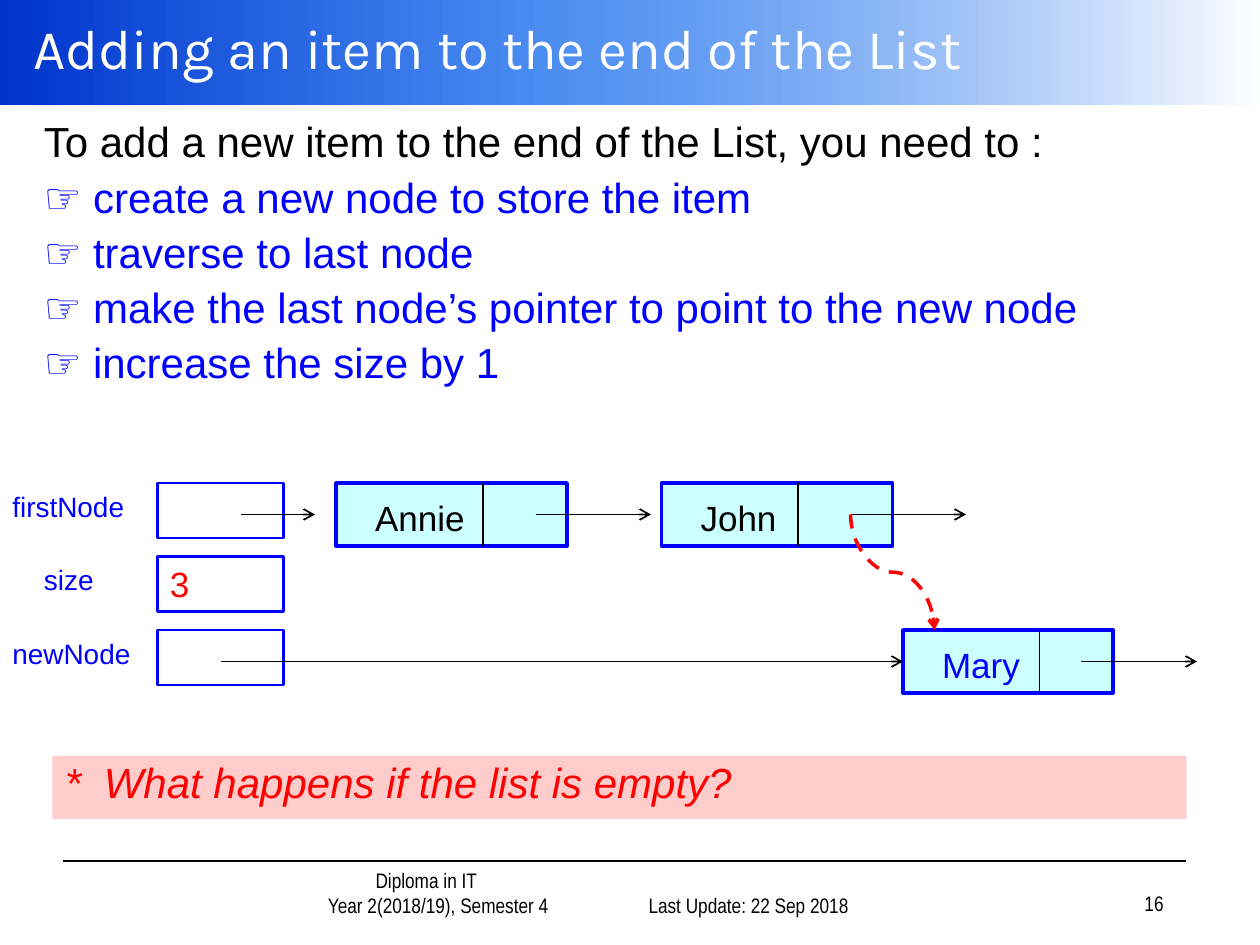
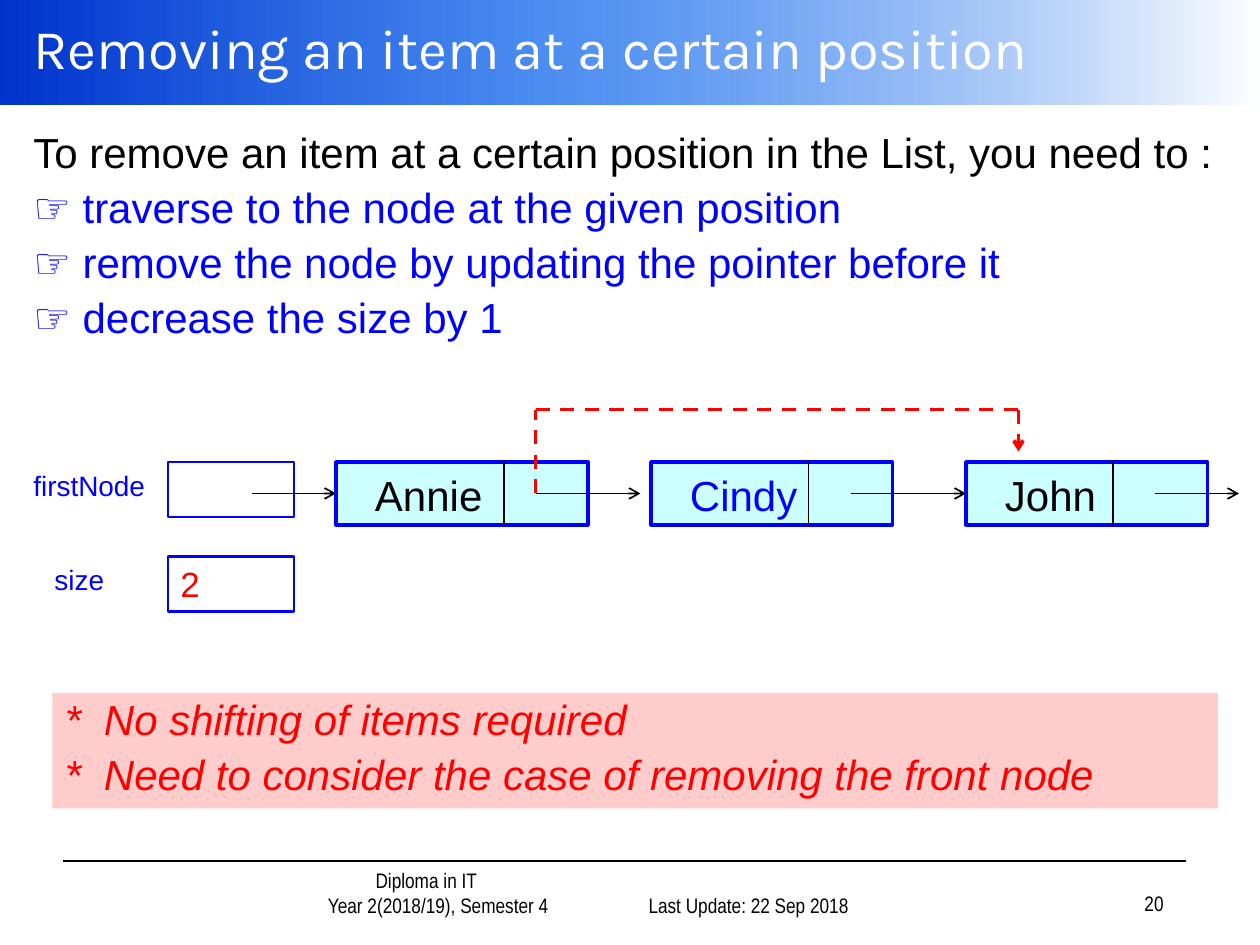
"""Builds two slides on adding to and removing from a linked list, on a 120 by 90 grid."""
from dataclasses import dataclass

from pptx import Presentation
from pptx.dml.color import RGBColor
from pptx.enum.dml import MSO_LINE
from pptx.enum.shapes import MSO_CONNECTOR, MSO_SHAPE
from pptx.enum.text import MSO_ANCHOR, PP_ALIGN
from pptx.oxml import parse_xml
from pptx.oxml.ns import nsdecls
from pptx.oxml.xmlchemy import OxmlElement
from pptx.util import Inches, Pt


@dataclass(frozen=True)
class Theme:
    ink: str = "000000"
    blue: str = "0000FF"
    red: str = "FF0000"
    white: str = "FFFFFF"
    aqua: str = "CCFFFF"
    pink: str = "FFCCCC"
    band: tuple = ((0, "0033CC", 100), (43, "005EEB", 70), (100, "FFFFFF", 100))
    head: int = 32
    body: int = 24
    cell: int = 20
    label: int = 16
    foot: int = 12
    font: str = "Arial"
    title: str = "Karla"
    small: str = "Arial Narrow"


look = Theme()
deck = Presentation()
deck.slide_width, deck.slide_height = Inches(10), Inches(7.5)
unit = deck.slide_width / 120


def box(page, place, text="", size=look.body, color=look.ink, font=look.font,
        fill=None, edge=None, weight=1.5, anchor=MSO_ANCHOR.TOP):
    spot = [round(n * unit) for n in place]
    if fill or edge:
        shape = page.shapes.add_shape(MSO_SHAPE.RECTANGLE, *spot)
        shape.shadow.inherit = False
        if fill:
            shape.fill.solid()
            shape.fill.fore_color.rgb = RGBColor.from_string(fill)
        else:
            shape.fill.background()
        if edge:
            shape.line.color.rgb = RGBColor.from_string(edge)
            shape.line.width = Pt(weight)
        else:
            shape.line.fill.background()
    else:
        shape = page.shapes.add_textbox(*spot)
    frame = shape.text_frame
    frame.text = text
    frame.word_wrap = True
    frame.vertical_anchor = anchor
    for para in frame.paragraphs:
        para.alignment = PP_ALIGN.LEFT
        for run in para.runs:
            run.font.size = Pt(size)
            run.font.name = font
            run.font.color.rgb = RGBColor.from_string(color)
    return shape


def wire(page, ends, color=look.ink, weight=1, dash=False, arrow=True,
         kind=MSO_CONNECTOR.STRAIGHT):
    link = page.shapes.add_connector(kind, *[round(n * unit) for n in ends])
    link.line.color.rgb = RGBColor.from_string(color)
    link.line.width = Pt(weight)
    if dash:
        link.line.dash_style = MSO_LINE.DASH
    if arrow:
        tip = OxmlElement("a:tailEnd")
        tip.set("type", "arrow")
        link.line._get_or_add_ln().append(tip)
    link._element.spPr.append(OxmlElement("a:effectLst"))
    return link


plans = [
    {
        "title": "Adding an item to the end of the List", "page": "16",
        "body": (3, 11, 114, 29),
        "steps": ["To add a new item to the end of the List, you need to :",
                  "☞ create a new node to store the item",
                  "☞ traverse to last node",
                  "☞ make the last node’s pointer to point to the new node",
                  "☞ increase the size by 1"],
        "left": 15,
        "vars": [(0, 46, "firstNode", ""), (3, 53, "size", "3"), (0, 60, "newNode", "")],
        "size": look.cell,
        "nodes": [(32, 46, 22, 14, "Annie", look.ink), (63, 46, 22, 13, "John", look.ink),
                  (86, 60, 20, 13, "Mary", look.blue)],
        "curve": (23, 49, 30, 49),
        "links": [(51, 49, 62, 49), (81, 49, 92, 49), (21, 63, 86, 63), (103, 63, 114, 63)],
        "note": (5, 72, 108, 6),
        "hints": ["What happens if the list is empty?"],
    },
    {
        "title": "Removing an item at a certain position", "page": "20",
        "body": (2, 12, 116, 28),
        "steps": ["To remove an item at a certain position in the List, you need to :",
                  "☞ traverse to the node at the given position",
                  "☞ remove the node by updating the pointer before it",
                  "☞ decrease the size by 1"],
        "left": 16,
        "vars": [(2, 44, "firstNode", ""), (4, 53, "size", "2")],
        "size": look.body,
        "nodes": [(32, 44, 24, 16, "Annie", look.ink), (62, 44, 23, 15, "Cindy", look.blue),
                  (92, 44, 23, 14, "John", look.ink)],
        "curve": (24, 47, 32, 47),
        "links": [(51, 47, 61, 47), (81, 47, 92, 47), (110, 47, 118, 47)],
        "note": (5, 66, 111, 11),
        "hints": ["No shifting of items required",
                  "Need to consider the case of removing the front node"],
    },
]

pages = []
for plan in plans:
    page = deck.slides.add_slide(deck.slide_layouts[6])
    pages.append(page)

    term = box(page, (20.2, 83, 34.8, 5), "Diploma in IT\nYear 2(2018/19), Semester 4",
               look.foot, font=look.small, anchor=MSO_ANCHOR.BOTTOM)
    for para, inset in zip(term.text_frame.paragraphs, (0.5, 0.69)):
        para.alignment = PP_ALIGN.CENTER
        para._p.get_or_add_pPr().set("marL", str(Inches(inset)))
    wire(page, (6, 82, 113, 82), arrow=False)

    band = box(page, (0, 0, 120, 10), fill=look.white)
    stops = "".join(
        f'<a:gs pos="{pos * 1000}"><a:srgbClr val="{tint}">'
        f'<a:alpha val="{alpha * 1000}"/></a:srgbClr></a:gs>'
        for pos, tint, alpha in look.band)
    blend = parse_xml(f'<a:gradFill {nsdecls("a")} rotWithShape="1"><a:gsLst>{stops}</a:gsLst>'
                      '<a:lin ang="0" scaled="1"/></a:gradFill>')
    props = band._element.spPr
    props.replace(props.find("{*}solidFill"), blend)

    for place, text in (((57, 83, 25, 5), "Last Update: 22 Sep 2018"),
                        ((87, 82.8, 25, 5), plan["page"])):
        foot = box(page, place, text, look.foot, font=look.small, anchor=MSO_ANCHOR.BOTTOM)
        foot.text_frame.paragraphs[0].alignment = PP_ALIGN.RIGHT

    box(page, (2, 0, 118, 9), plan["title"], look.head, look.white, look.title,
        anchor=MSO_ANCHOR.MIDDLE)

    body = box(page, plan["body"], "\n".join(plan["steps"]), color=look.blue)
    first = body.text_frame.paragraphs[0]
    first.runs[0].font.color.rgb = RGBColor.from_string(look.ink)

    hints = "\n".join("*\t" + hint for hint in plan["hints"])
    note = box(page, plan["note"], hints, color=look.red, fill=look.pink)
    for para in note.text_frame.paragraphs:
        para.runs[0].font.italic = True
        props = para._p.get_or_add_pPr()
        props.set("marL", str(Inches(0.31)))
        props.set("indent", str(-Inches(0.31)))

    for shape in (body, note):
        for row, para in enumerate(shape.text_frame.paragraphs):
            para.line_spacing = 0.9
            para.space_before = Pt(5.6 if row else 0)

    for left, top, name, value in plan["vars"]:
        box(page, (plan["left"], top, 12, 5.25), value, look.cell, look.red, edge=look.blue)
        box(page, (left, top, 14, 4.4), name, look.label, look.blue)

    for left, top, width, split, name, color in plan["nodes"]:
        node = box(page, (left, top, width, 6), name, plan["size"], color,
                   fill=look.aqua, edge=look.blue, weight=2)
        node.text_frame.margin_left = Inches(0.31)
        node.text_frame.margin_top = Inches(0.36 - 0.9 * plan["size"] / 72)
        wire(page, (left + split, top, left + split, top + 6), arrow=False)

    wire(page, plan["curve"], kind=MSO_CONNECTOR.CURVE)
    for ends in plan["links"]:
        wire(page, ends)

bend = wire(pages[0], (90.5, 50.5, 79.5, 58.5), look.red, 2, True, kind=MSO_CONNECTOR.CURVE)
bend._element.spPr.find("{*}xfrm").set("rot", str(270 * 60000))

for ends, arrow in (((51, 47, 51, 39), False), ((51, 39, 97, 39), False),
                    ((97, 39, 97, 43), True)):
    wire(pages[1], ends, look.red, 2, True, arrow)

deck.save("out.pptx")
